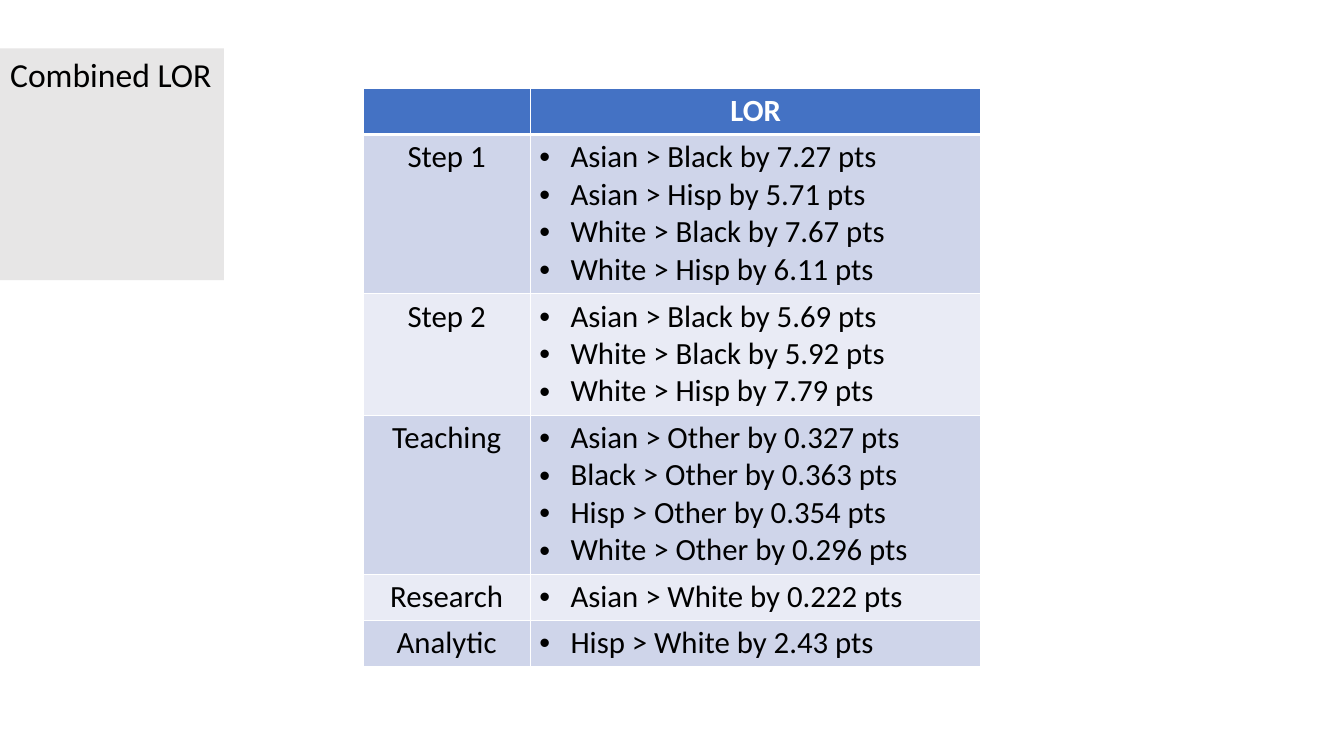
from pptx import Presentation
from pptx.dml.color import RGBColor
from pptx.enum.text import MSO_ANCHOR, MSO_AUTO_SIZE, PP_ALIGN
from pptx.oxml import parse_xml
from pptx.oxml.ns import nsdecls
from pptx.util import Inches, Pt

FONT = "Calibri"
BLACK, WHITE, GREY = "000000", "FFFFFF", "E7E6E6"
HEADER, BANDS = "4472C4", ("CFD5EA", "E9EBF5")
LINE_HEIGHT, CELL_PAD, INDENT = 0.375, 0.04, 0.31

SCORES = [
    ("Step 1", ["Asian > Black by 7.27 pts", "Asian > Hisp by 5.71 pts",
                "White > Black by 7.67 pts", "White > Hisp by 6.11 pts"]),
    ("Step 2", ["Asian > Black by 5.69 pts", "White > Black by 5.92 pts",
                "White > Hisp by 7.79 pts"]),
    ("Teaching", ["Asian > Other by 0.327 pts", "Black > Other by 0.363 pts",
                  "Hisp > Other by 0.354 pts", "White > Other by 0.296 pts"]),
    ("Research", ["Asian > White by 0.222 pts"]),
    ("Analytic", ["Hisp > White by 2.43 pts"]),
]


def rgb(value):
    return RGBColor.from_string(value)


class SlideBuilder:
    def __init__(self, prs):
        self.s = prs.slides.add_slide(prs.slide_layouts[5])

    def style(self, p, size, color=BLACK, bold=False, align=PP_ALIGN.LEFT):
        p.alignment = align
        p.font.name, p.font.size, p.font.bold = FONT, Pt(size), bold
        p.font.color.rgb = rgb(color)

    def title(self, text, x, y, w, h):
        sp = self.s.shapes.title
        sp.left, sp.top, sp.width, sp.height = map(Inches, (x, y, w, h))
        sp.fill.solid()
        sp.fill.fore_color.rgb = rgb(GREY)
        tf = sp.text_frame
        tf.text = text
        tf.word_wrap = False
        tf.auto_size = MSO_AUTO_SIZE.SHAPE_TO_FIT_TEXT
        tf.vertical_anchor = MSO_ANCHOR.TOP
        self.style(tf.paragraphs[0], 24)

    def borders(self, cell, bottom):
        tcPr = cell._tc.get_or_add_tcPr()
        widths = {"lnL": 1, "lnR": 1, "lnT": 1, "lnB": bottom}
        for i, (tag, width) in enumerate(widths.items()):
            tcPr.insert(i, parse_xml(
                f'<a:{tag} {nsdecls("a")} w="{Pt(width)}"><a:solidFill>'
                f'<a:srgbClr val="{WHITE}"/></a:solidFill></a:{tag}>'))

    def bullet(self, p):
        pPr = p._p.get_or_add_pPr()
        pPr.set("marL", str(Inches(INDENT)))
        pPr.set("indent", str(-Inches(INDENT)))
        for xml in ('<a:buFont {} typeface="Arial"/>', '<a:buChar {} char="•"/>'):
            pPr.insert_element_before(parse_xml(xml.format(nsdecls("a"))),
                                      "a:tabLst", "a:defRPr", "a:extLst")

    def cell(self, cell, lines, fill, color=BLACK, bold=False, bullets=False, bottom=1):
        cell.margin_left = cell.margin_right = Inches(0.09)
        cell.margin_top = cell.margin_bottom = Inches(CELL_PAD)
        cell.fill.solid()
        cell.fill.fore_color.rgb = rgb(fill)
        self.borders(cell, bottom)
        cell.text = "\n".join(lines)
        for p in cell.text_frame.paragraphs:
            self.style(p, 22, color, bold, PP_ALIGN.LEFT if bullets else PP_ALIGN.CENTER)
            if bullets:
                if len(lines) == 1:
                    p.space_before = p.space_after = Pt(6)
                self.bullet(p)

    def table(self, headers, rows, x, y, col_widths):
        heights = [2 * CELL_PAD + n * LINE_HEIGHT
                   for n in [1] + [len(lines) for _, lines in rows]]
        table = self.s.shapes.add_table(
            len(heights), len(col_widths), Inches(x), Inches(y),
            Inches(sum(col_widths)), Inches(sum(heights))).table
        for col, width in zip(table.columns, col_widths):
            col.width = Inches(width)
        for row, height in zip(table.rows, heights):
            row.height = Inches(height)
        for c, text in enumerate(headers):
            self.cell(table.cell(0, c), [text], HEADER, WHITE, bold=True, bottom=3)
        for r, (label, lines) in enumerate(rows, 1):
            band = BANDS[(r - 1) % 2]
            self.cell(table.cell(r, 0), [label], band)
            self.cell(table.cell(r, 1), lines, band, bullets=True)


def main():
    prs = Presentation()
    prs.slide_width, prs.slide_height = Inches(13.33), Inches(7.5)
    slide = SlideBuilder(prs)

    # Title tag at the left edge
    slide.title("Combined LOR", 0, 0.48, 2.22, 0.5)

    # Score differences by group
    slide.table(["", "LOR"], SCORES, 3.6, 0.88, [1.66, 4.47])

    prs.save("out.pptx")


if __name__ == "__main__":
    main()
